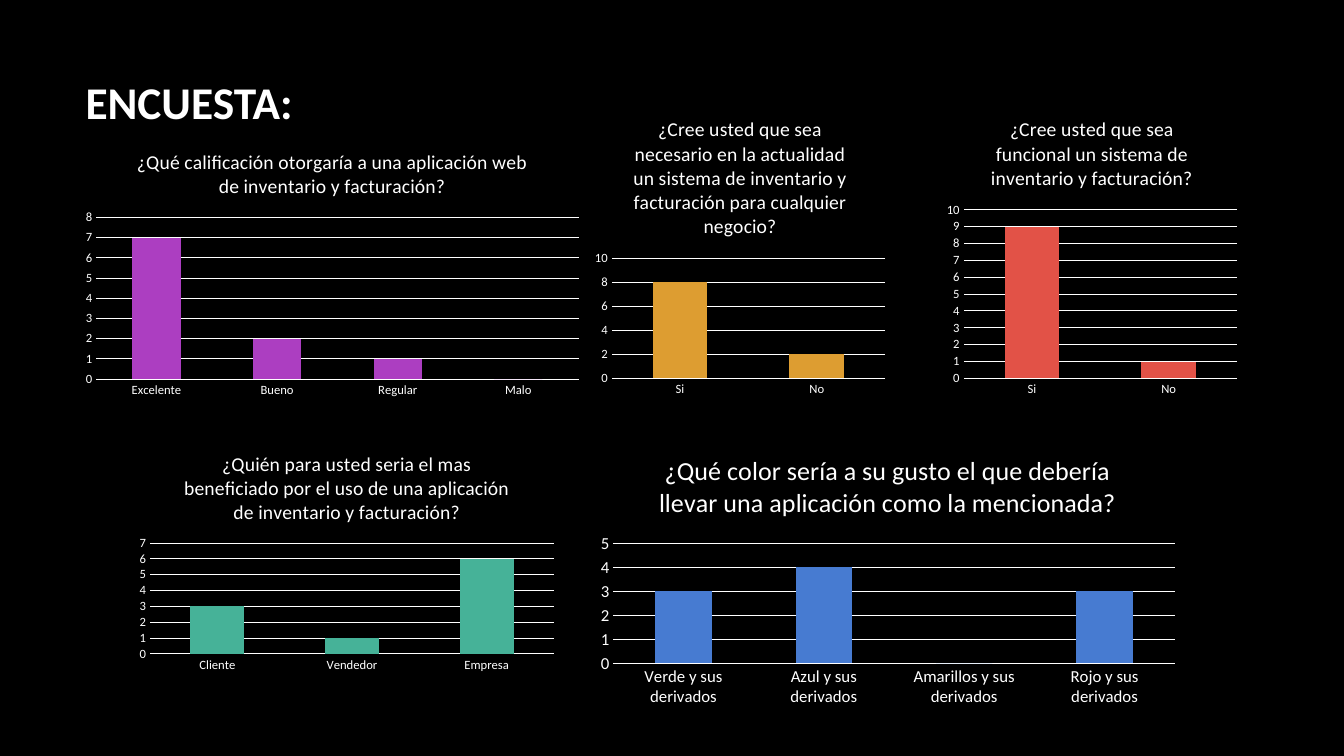
from dataclasses import dataclass

from pptx import Presentation
from pptx.chart import data as chart_data
from pptx.dml.color import RGBColor
from pptx.enum import chart as ch, text
from pptx.util import Inches, Pt


@dataclass(frozen=True)
class Theme:
    """Colours, font and type sizes of the slide."""
    font: str = "Calibri"
    background: str = "000000"
    ink: str = "FFFFFF"
    purple: str = "AC3EC1"
    amber: str = "DD9D31"
    red: str = "E25247"
    green: str = "46B298"
    blue: str = "477BD1"
    heading: float = 32.4
    question: float = 14
    question_large: float = 18.6
    base: float = 10
    axis: float = 9
    axis_large: float = 12
    grid: float = 0.75


THEME = Theme()


@dataclass(frozen=True)
class Question:
    """A survey question with its answers and chart box in inches."""
    title: str
    answers: dict[str, int]
    color: str
    box: tuple[float, float, float, float]
    title_size: float = THEME.question
    axis_size: float = THEME.axis


QUESTIONS = [
    Question("¿Qué calificación otorgaría a una aplicación web de inventario y facturación?",
             {"Excelente": 7, "Bueno": 2, "Regular": 1, "Malo": 0},
             THEME.purple, (0.75, 1.33, 5.09, 2.67)),
    Question("¿Cree usted que sea necesario en la actualidad un sistema de inventario "
             "y facturación para cualquier negocio?",
             {"Si": 8, "No": 2}, THEME.amber, (5.84, 1, 3, 3)),
    Question("¿Cree usted que sea funcional un sistema de inventario y facturación?",
             {"Si": 9, "No": 1}, THEME.red, (9.33, 1, 3, 3)),
    Question("¿Quién para usted seria el mas beneficiado por el uso de una aplicación "
             "de inventario y facturación?",
             {"Cliente": 3, "Vendedor": 1, "Empresa": 6},
             THEME.green, (1.3, 4.33, 4.28, 2.39)),
    Question("¿Qué color sería a su gusto el que debería llevar una aplicación como la mencionada?",
             {"Verde y sus derivados": 3, "Azul y sus derivados": 4,
              "Amarillos y sus derivados": 0, "Rojo y sus derivados": 3},
             THEME.blue, (5.84, 4.33, 5.93, 2.74),
             THEME.question_large, THEME.axis_large),
]


def style_font(font, size: float, bold: bool = False) -> None:
    """Apply the theme font and colour at the given size."""
    font.name = THEME.font
    font.size = Pt(size)
    font.bold = bold
    font.color.rgb = RGBColor.from_string(THEME.ink)


def add_heading(slide, heading: str) -> None:
    """Add the slide heading."""
    sp = slide.shapes.add_textbox(*map(Inches, (0.75, 0.67, 11.08, 0.67)))
    tf = sp.text_frame
    tf.word_wrap = True
    tf.vertical_anchor = text.MSO_ANCHOR.MIDDLE
    tf.text = heading
    style_font(tf.paragraphs[0].runs[0].font, THEME.heading, bold=True)


def add_question_chart(slide, question: Question) -> None:
    """Add the column chart of one survey question."""
    data = chart_data.CategoryChartData()
    data.categories = list(question.answers)
    data.add_series(question.title, list(question.answers.values()))
    chart = slide.shapes.add_chart(ch.XL_CHART_TYPE.COLUMN_CLUSTERED,
                                   *map(Inches, question.box), data).chart
    style_font(chart.font, THEME.base)
    chart.has_legend = False
    chart.has_title = True
    chart.chart_title.include_in_layout = False
    tf = chart.chart_title.text_frame
    tf.text = question.title
    style_font(tf.paragraphs[0].runs[0].font, question.title_size)

    plot = chart.plots[0]
    plot.gap_width = 150
    plot.vary_by_categories = False
    fill = plot.series[0].format.fill
    fill.solid()
    fill.fore_color.rgb = RGBColor.from_string(question.color)

    for axis in (chart.category_axis, chart.value_axis):
        axis.major_tick_mark = ch.XL_TICK_MARK.NONE
        axis.minor_tick_mark = ch.XL_TICK_MARK.NONE
        axis.format.line.fill.background()
        style_font(axis.tick_labels.font, question.axis_size)
    chart.value_axis.has_major_gridlines = True
    line = chart.value_axis.major_gridlines.format.line
    line.width = Pt(THEME.grid)
    line.color.rgb = RGBColor.from_string(THEME.ink)


def main() -> None:
    """Build and save the survey slide."""
    prs = Presentation()
    prs.slide_width, prs.slide_height = Inches(13.33), Inches(7.5)
    slide = prs.slides.add_slide(prs.slide_layouts[6])
    fill = slide.background.fill
    fill.solid()
    fill.fore_color.rgb = RGBColor.from_string(THEME.background)
    add_heading(slide, "ENCUESTA:")
    for question in QUESTIONS:
        add_question_chart(slide, question)
    prs.save("out.pptx")


if __name__ == "__main__":
    main()
